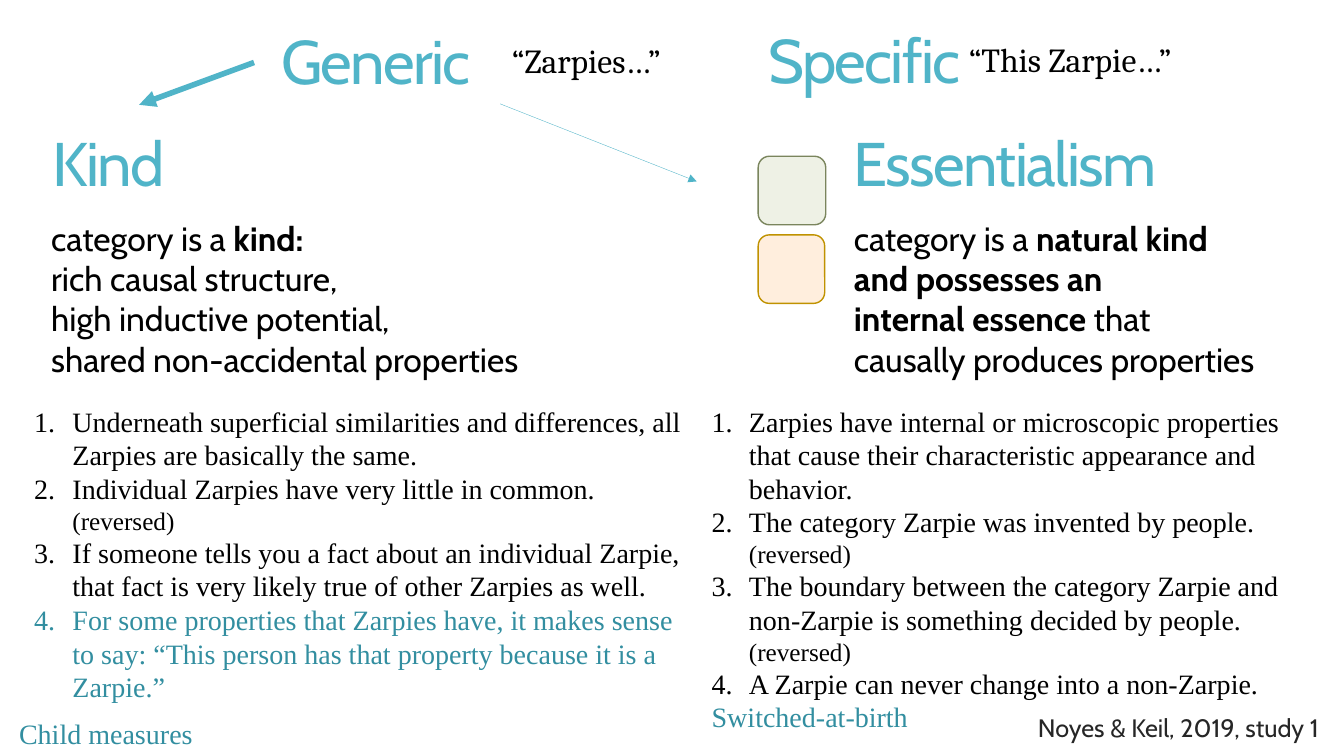
from pptx import Presentation
from pptx import util as u
from pptx.dml.color import RGBColor
from pptx.enum import shapes, text
from pptx.oxml import ns, xmlchemy

Inches, Pt = u.Inches, u.Pt
TEAL, DARK_TEAL, BLACK = "50B4C8", "328EA0", "000000"
BODY, SERIF, QUOTE = "Cabin", "Times New Roman", "Cambria"
REVERSED = ("(reversed)", {"size": 18})

KIND_ITEMS = [
    [("Underneath superficial similarities and differences, all Zarpies are "
      "basically the same.", {})],
    [("Individual Zarpies have very little in common. ", {}), REVERSED],
    [("If someone tells you a fact about an individual Zarpie, that fact is "
      "very likely true of other Zarpies as well.", {})],
    [("For some properties that Zarpies have, it makes sense to say: “This "
      "person has that property because it is a Zarpie.”", {"color": DARK_TEAL})],
]
ESSENCE_ITEMS = [
    [("Zarpies have internal or microscopic properties that cause their "
      "characteristic appearance and behavior.", {})],
    [("The category Zarpie was invented by people. ", {}), REVERSED],
    [("The boundary between the category Zarpie and non-Zarpie is something "
      "decided by people. ", {}), REVERSED],
    [("A Zarpie can never change into a non-Zarpie.", {})],
]


def rgb(value):
    return RGBColor.from_string(value)


def place(box, left, top, width, height):
    box.left, box.top = Inches(left), Inches(top)
    box.width, box.height = Inches(width), Inches(height)


def add_spans(para, spans, font, size, color=BLACK):
    """Add (words, changes) pairs as runs; a newline becomes a line break."""
    for words, changes in spans:
        for index, line in enumerate(words.split("\n")):
            if index:
                para.add_line_break()
            if not line:
                continue
            span = para.add_run()
            span.text = line
            span.font.name = font
            span.font.size = Pt(changes.get("size", size))
            span.font.bold = changes.get("bold", False)
            span.font.color.rgb = rgb(changes.get("color", color))


def add_text(page, area, paragraphs, font, size, color=BLACK, wrap=True):
    box = page.shapes.add_textbox(*map(Inches, area))
    frame = box.text_frame
    frame.word_wrap = wrap
    for index, spans in enumerate(paragraphs):
        para = frame.add_paragraph() if index else frame.paragraphs[0]
        add_spans(para, spans, font, size, color)
    return box


def number_items(paragraphs, indent):
    for para in paragraphs:
        properties = para._p.get_or_add_pPr()
        properties.set("marL", str(Inches(indent)))
        properties.set("indent", str(-Inches(indent)))
        bullet = xmlchemy.OxmlElement("a:buAutoNum")
        bullet.set("type", "arabicPeriod")
        properties.append(bullet)


def format_heading(box, words, area):
    place(box, *area)
    frame = box.text_frame
    frame.word_wrap = True
    frame.auto_size = text.MSO_AUTO_SIZE.NONE
    frame.vertical_anchor = text.MSO_ANCHOR.MIDDLE
    para = frame.paragraphs[0]
    para.alignment = text.PP_ALIGN.LEFT
    para.line_spacing = 0.85
    add_spans(para, [(words, {})], BODY, 44, TEAL)
    para.runs[0].font._element.set("spc", "-120")


def add_key(page, area, fill, line):
    key = page.shapes.add_shape(shapes.MSO_SHAPE.ROUNDED_RECTANGLE, *map(Inches, area))
    key.shadow.inherit = False
    key.fill.solid()
    key.fill.fore_color.rgb = rgb(fill)
    key.line.color.rgb = rgb(line)
    key.line.width = Pt(1)


def add_arrow(page, ends, width):
    arrow = page.shapes.add_connector(shapes.MSO_CONNECTOR.STRAIGHT, *map(Inches, ends))
    arrow.line.color.rgb = rgb(TEAL)
    arrow.line.width = Pt(width)
    properties = arrow._element.spPr
    head = xmlchemy.OxmlElement("a:tailEnd")
    head.set("type", "triangle")
    properties.find(ns.qn("a:ln")).append(head)
    properties.append(xmlchemy.OxmlElement("a:effectLst"))


def main():
    deck = Presentation()
    deck.slide_width, deck.slide_height = Inches(13.33), Inches(7.5)
    page = deck.slides.add_slide(deck.slide_layouts[5])

    # Headings
    format_heading(page.shapes.title, "Generic", (2.69, 0.27, 2.72, 0.77))
    for words, area in (("Specific", (7.52, 0.26, 2.72, 0.77)),
                        ("Kind", (0.42, 1.21, 1.85, 0.9)),
                        ("Essentialism", (8.37, 1.21, 3.54, 0.9))):
        format_heading(page.shapes.add_textbox(0, 0, 0, 0), words, area)

    # Example phrases
    for words, area in (("“Zarpies…”", (4.98, 0.35, 1.76, 0.5)),
                        ("“This Zarpie…”", (9.51, 0.34, 2.31, 0.5))):
        add_text(page, area, [[(words, {})]], QUOTE, 24, wrap=False)

    # Definitions
    add_text(page, (0.41, 2.11, 5, 1.72), [
        [("category is a ", {}), ("kind:", {"bold": True})],
        [("rich causal structure, \nhigh inductive potential, \n"
          "shared non-accidental properties", {})],
    ], BODY, 24)
    add_text(page, (8.37, 2.11, 4.31, 1.72), [
        [("category is a ", {}),
         ("natural kind and possesses an \ninternal essence ", {"bold": True}),
         ("that \ncausally produces properties", {})],
    ], BODY, 24)

    # Colour keys
    add_key(page, (7.52, 1.55, 0.67, 0.68), "EEF1E5", "7A855D")
    add_key(page, (7.52, 2.33, 0.66, 0.68), "FFEEDD", "C09200")

    # Measures
    kind = add_text(page, (0.24, 3.96, 6.72, 3.1), KIND_ITEMS, SERIF, 20)
    number_items(kind.text_frame.paragraphs, 0.38)
    switched = [("Switched-at-birth", {"color": DARK_TEAL})]
    essence = add_text(page, (6.96, 3.96, 6.28, 3.4), ESSENCE_ITEMS + [switched], SERIF, 20)
    number_items(essence.text_frame.paragraphs[:-1], 0.37)
    add_text(page, (0.09, 7.06, 2.11, 0.44), [[("Child measures", {})]],
             SERIF, 20, DARK_TEAL)

    # Citation
    citation = add_text(page, (6, 7.06, 7.18, 0.43),
                        [[("Noyes & Keil, 2019, study 1", {})]], BODY, 18, "262626")
    para = citation.text_frame.paragraphs[0]
    para.alignment = text.PP_ALIGN.RIGHT
    para.line_spacing = 0.85

    # Arrows from the generic heading
    add_arrow(page, (2.52, 0.62, 1.38, 1.04), 4)
    add_arrow(page, (4.96, 1.03, 6.91, 1.8), 0.25)

    deck.save("out.pptx")


if __name__ == "__main__":
    main()
